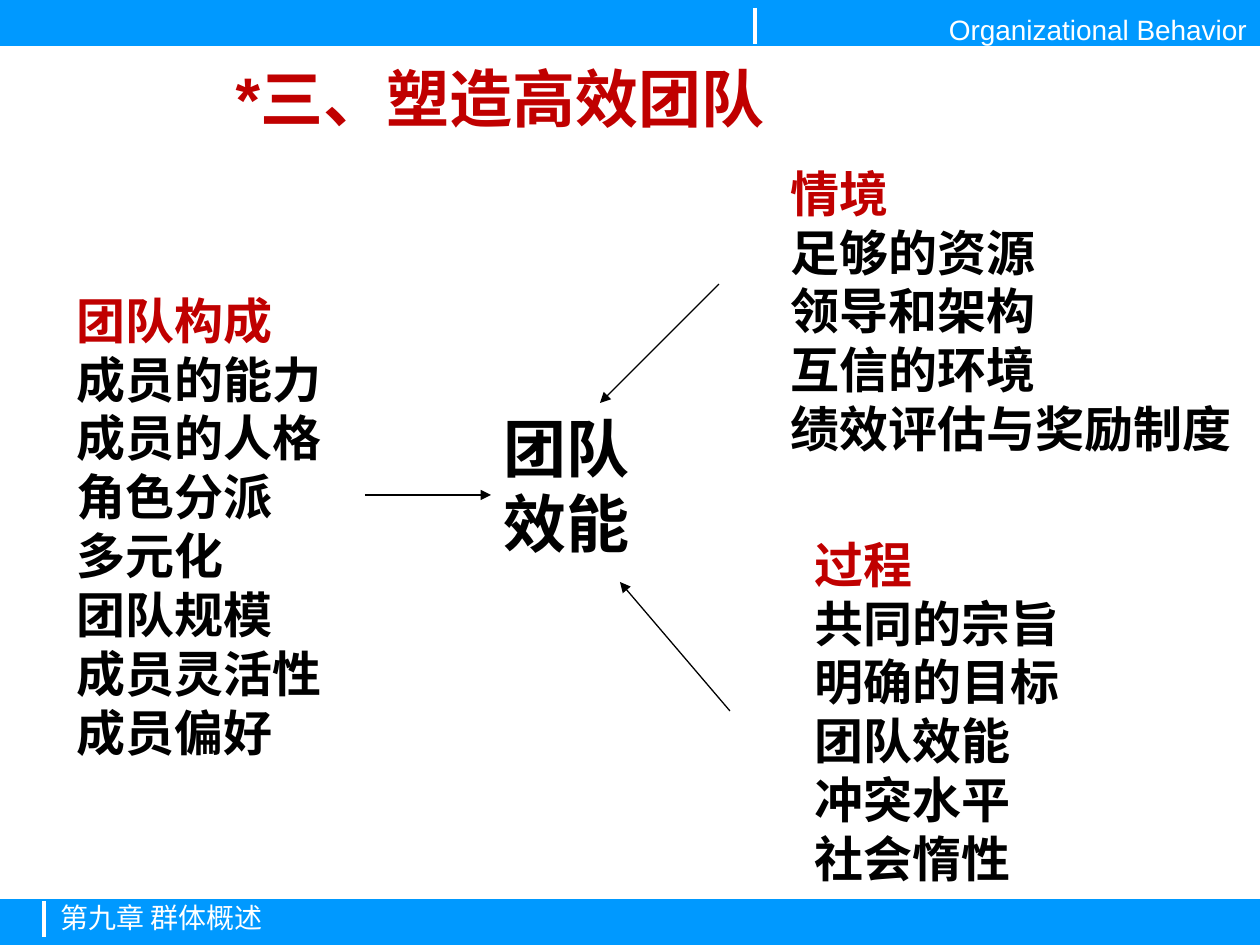
from lxml import etree
from pptx import Presentation
from pptx.dml.color import RGBColor
from pptx.enum.shapes import MSO_CONNECTOR, MSO_SHAPE
from pptx.enum.text import MSO_ANCHOR, MSO_AUTO_SIZE, PP_ALIGN
from pptx.oxml.ns import qn
from pptx.util import Emu, Pt

PX_PER_INCH = 126
WIDTH, HEIGHT, BAR_HEIGHT = 1260, 945, 46
COMPARISON_LAYOUT = 4
LEFT, RIGHT = PP_ALIGN.LEFT, PP_ALIGN.RIGHT
TOP, MIDDLE = MSO_ANCHOR.TOP, MSO_ANCHOR.MIDDLE
RECTANGLE, STRAIGHT = MSO_SHAPE.RECTANGLE, MSO_CONNECTOR.STRAIGHT
FONT = "Arial"
BLUE, RED, BLACK, WHITE = "0099FF", "C00000", "000000", "FFFFFF"

COMPOSITION = ["团队构成", "成员的能力", "成员的人格", "角色分派", "多元化",
               "团队规模", "成员灵活性", "成员偏好"]
CONTEXT = ["情境", "足够的资源", "领导和架构", "互信的环境", "绩效评估与奖励制度"]
PROCESS = ["过程", "共同的宗旨", "明确的目标", "团队效能", "冲突水平", "社会惰性"]


def px(n):
    return Emu(round(n * 914400 / PX_PER_INCH))


def color(value):
    return RGBColor.from_string(value)


def format_paragraph(p, size, ink, bold=False, align=LEFT):
    p.alignment = align
    p.space_before = Pt(0)
    for r in p.runs:
        r.font.name = FONT
        r.font.size = Pt(size)
        r.font.bold = bold
        r.font.color.rgb = color(ink)


def remove_bullet(p, indent):
    pPr = p._p.get_or_add_pPr()
    pPr.set("marL", str(px(indent)))
    pPr.set("indent", "0")
    etree.SubElement(pPr, qn("a:buNone"))


def fill_placeholder(sp, box, lines, size, head_ink, indent=0):
    """Place the text; the first line takes head_ink, the others are black."""
    sp.left, sp.top, sp.width, sp.height = map(px, box)
    tf = sp.text_frame
    tf.text = "\n".join(lines)
    tf.word_wrap = True
    tf.auto_size = MSO_AUTO_SIZE.NONE
    tf.vertical_anchor = TOP
    for i, p in enumerate(tf.paragraphs):
        remove_bullet(p, indent)
        format_paragraph(p, size, BLACK if i else head_ink, bold=True)


def add_line(slide, start, end, ink, width, arrow=False):
    line = slide.shapes.add_connector(STRAIGHT, *map(px, start + end))
    line.line.color.rgb = color(ink)
    line.line.width = Pt(width)
    if arrow:
        etree.SubElement(line.line._get_or_add_ln(), qn("a:tailEnd"), type="triangle")
    etree.SubElement(line._element.spPr, qn("a:effectLst"))


def add_bar(slide, top, text, align, insets, tick_x, tick_top):
    """Add a full-width band with its label and a short white tick."""
    sp = slide.shapes.add_shape(RECTANGLE, 0, px(top), px(WIDTH), px(BAR_HEIGHT))
    sp.shadow.inherit = False
    sp.fill.solid()
    sp.fill.fore_color.rgb = color(BLUE)
    sp.line.fill.background()
    tf = sp.text_frame
    tf.text = text
    tf.vertical_anchor = MIDDLE
    tf.margin_left, tf.margin_top, tf.margin_right, tf.margin_bottom = map(px, insets)
    format_paragraph(tf.paragraphs[0], 16, WHITE, align=align)
    add_line(slide, (tick_x, tick_top), (tick_x, tick_top + 36), WHITE, 2)


def main():
    prs = Presentation()
    prs.slide_width, prs.slide_height = px(WIDTH), px(HEIGHT)
    slide = prs.slides.add_slide(prs.slide_layouts[COMPARISON_LAYOUT])

    add_bar(slide, 0, "Organizational Behavior", RIGHT, (13, 18, 13, 6), 755, 8)
    add_bar(slide, HEIGHT - BAR_HEIGHT, "第九章 群体概述", LEFT, (61, 1, 13, 11), 44, 901)

    title, composition, context, process, center = slide.placeholders
    fill_placeholder(title, (223, 53, 953, 88), ["*三、塑造高效团队"], 36, RED)
    fill_placeholder(composition, (20, 284, 344, 484), COMPOSITION, 28, RED, 44)
    fill_placeholder(context, (734, 157, 526, 307), CONTEXT, 28, RED, 44)
    fill_placeholder(process, (769, 528, 377, 365), PROCESS, 28, RED, 33)
    fill_placeholder(center, (491, 403, 198, 164), ["团队效能"], 36, BLACK)

    for start, end in [((365, 495), (491, 495)),
                       ((719, 284), (600, 403)),
                       ((730, 711), (620, 582))]:
        add_line(slide, start, end, BLACK, 0.75, arrow=True)

    prs.save("out.pptx")


if __name__ == "__main__":
    main()
